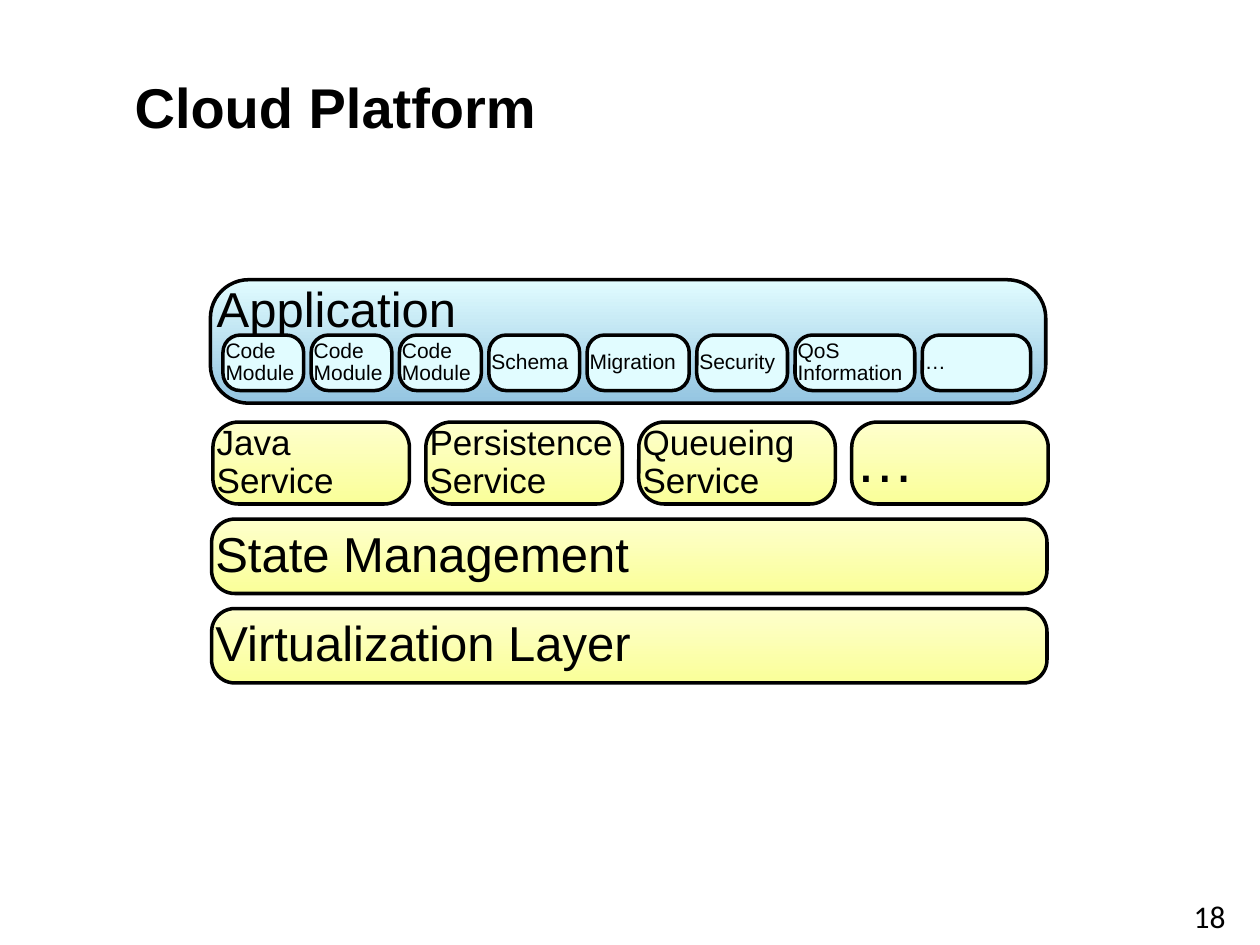
from dataclasses import dataclass

from pptx import Presentation
from pptx.dml.color import RGBColor
from pptx.enum import shapes, text
from pptx.util import Inches, Pt

BLACK = RGBColor(0x00, 0x00, 0x00)
PALE_BLUE = RGBColor(0xE1, 0xFC, 0xFF)
SKY_BLUE = RGBColor(0x94, 0xC5, 0xE1)
CREAM = RGBColor(0xFE, 0xFF, 0xCC)
YELLOW = RGBColor(0xFA, 0xFF, 0x99)
TOP, MIDDLE = text.MSO_ANCHOR.TOP, text.MSO_ANCHOR.MIDDLE
CORNER = 0.31


@dataclass(frozen=True)
class Style:
    colors: tuple[RGBColor, ...]
    size: float
    inset: float
    anchor: text.MSO_ANCHOR = MIDDLE


@dataclass(frozen=True)
class Block:
    label: str
    left: float
    top: float
    width: float
    height: float
    style: Style


APPLICATION = Style((PALE_BLUE, SKY_BLUE), 28, 0.05, TOP)
MODULE = Style((PALE_BLUE,), 12, 0.02)
SERVICE = Style((CREAM, YELLOW), 20, 0.03)
MORE_SERVICES = Style((CREAM, YELLOW), 34, 0.03)
LAYER = Style((CREAM, YELLOW), 28, 0.03)

MODULES = [
    ("Code\nModule", 0.64), ("Code\nModule", 0.64), ("Code\nModule", 0.65),
    ("Schema", 0.72), ("Migration", 0.81), ("Security", 0.72),
    ("QoS Information", 0.95), ("…", 0.86),
]
MODULE_LEFT, MODULE_GAP = 1.77, 0.06
SERVICES = [("Java\nService", SERVICE), ("Persistence\nService", SERVICE),
            ("Queueing\nService", SERVICE), ("…", MORE_SERVICES)]
SERVICE_LEFT, SERVICE_PITCH = 1.69, 1.69
LAYERS = [("State Management", 4.12), ("Virtualization Layer", 4.83)]


def add_label(slide, words: str, left: float, top: float, width: float, height: float,
              size: float, anchor: text.MSO_ANCHOR = MIDDLE, margins=(0, 0),
              font: str = "Arial", bold: bool = False, spacing: float = 0.9,
              align=text.PP_ALIGN.LEFT) -> None:
    label = slide.shapes.add_textbox(Inches(left), Inches(top), Inches(width), Inches(height))
    frame = label.text_frame
    frame.word_wrap = True
    frame.vertical_anchor = anchor
    frame.margin_left = frame.margin_right = Inches(margins[0])
    frame.margin_top = frame.margin_bottom = Inches(margins[1])
    for index, line in enumerate(words.split("\n")):
        paragraph = frame.add_paragraph() if index else frame.paragraphs[0]
        paragraph.line_spacing = spacing
        paragraph.alignment = align
        run = paragraph.add_run()
        run.text = line
        run.font.name = font
        run.font.size = Pt(size)
        run.font.bold = bold
        run.font.color.rgb = BLACK


def add_block(slide, block: Block) -> None:
    style = block.style
    panel = slide.shapes.add_shape(
        shapes.MSO_SHAPE.ROUNDED_RECTANGLE, Inches(block.left), Inches(block.top),
        Inches(block.width), Inches(block.height))
    panel.adjustments[0] = CORNER
    panel.shadow.inherit = False
    panel.line.color.rgb = BLACK
    panel.line.width = Pt(2)
    if len(style.colors) == 1:
        panel.fill.solid()
        panel.fill.fore_color.rgb = style.colors[0]
    else:
        panel.fill.gradient()
        panel.fill.gradient_angle = 270
        for position, (stop, color) in enumerate(zip(panel.fill.gradient_stops, style.colors)):
            stop.position = position
            stop.color.rgb = color
    pad = 0.04 if style.anchor == TOP else 0
    add_label(slide, block.label, block.left + style.inset, block.top + pad,
              block.width - 2 * style.inset, block.height - 2 * pad,
              style.size, style.anchor)


def main() -> None:
    deck = Presentation()
    deck.slide_width, deck.slide_height = Inches(10), Inches(7.5)
    slide = deck.slides.add_slide(deck.slide_layouts[6])

    add_label(slide, "18", 9.35, 7.1, 0.5, 0.28, 18, TOP, (0.1, 0.05),
              font="Calibri", align=text.PP_ALIGN.CENTER)
    add_label(slide, "Cloud Platform", 0.97, 0.33, 8.29, 1.03, 32,
              margins=(0.1, 0.05), bold=True, spacing=1.0)

    add_block(slide, Block("Application", 1.67, 2.22, 6.63, 0.98, APPLICATION))
    left = MODULE_LEFT
    for label, width in MODULES:
        add_block(slide, Block(label, left, 2.66, width, 0.44, MODULE))
        left += width + MODULE_GAP
    for column, (label, style) in enumerate(SERVICES):
        left = SERVICE_LEFT + column * SERVICE_PITCH
        add_block(slide, Block(label, left, 3.35, 1.56, 0.65, style))
    for label, top in LAYERS:
        add_block(slide, Block(label, 1.68, top, 6.63, 0.59, LAYER))

    deck.save("out.pptx")


if __name__ == "__main__":
    main()
